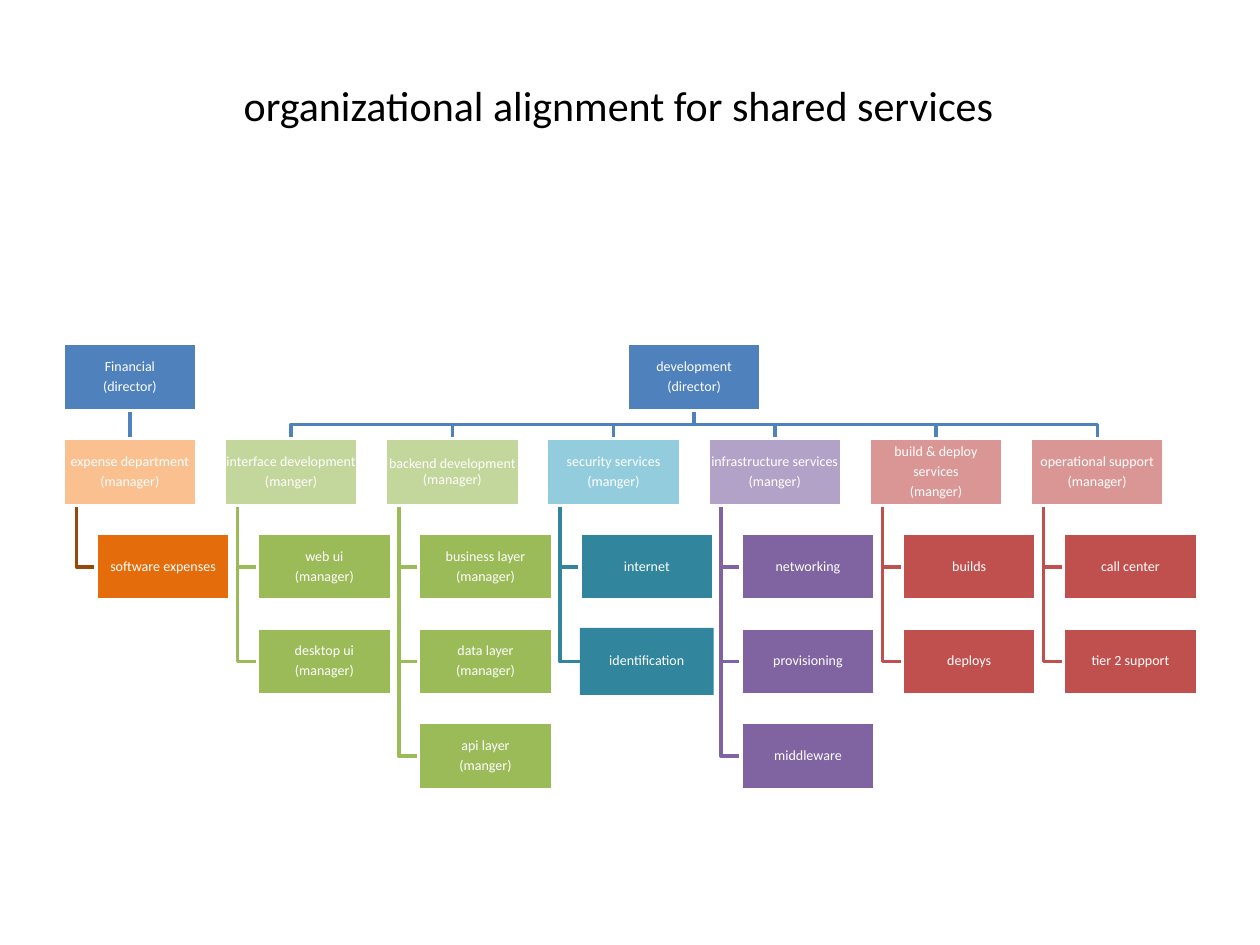
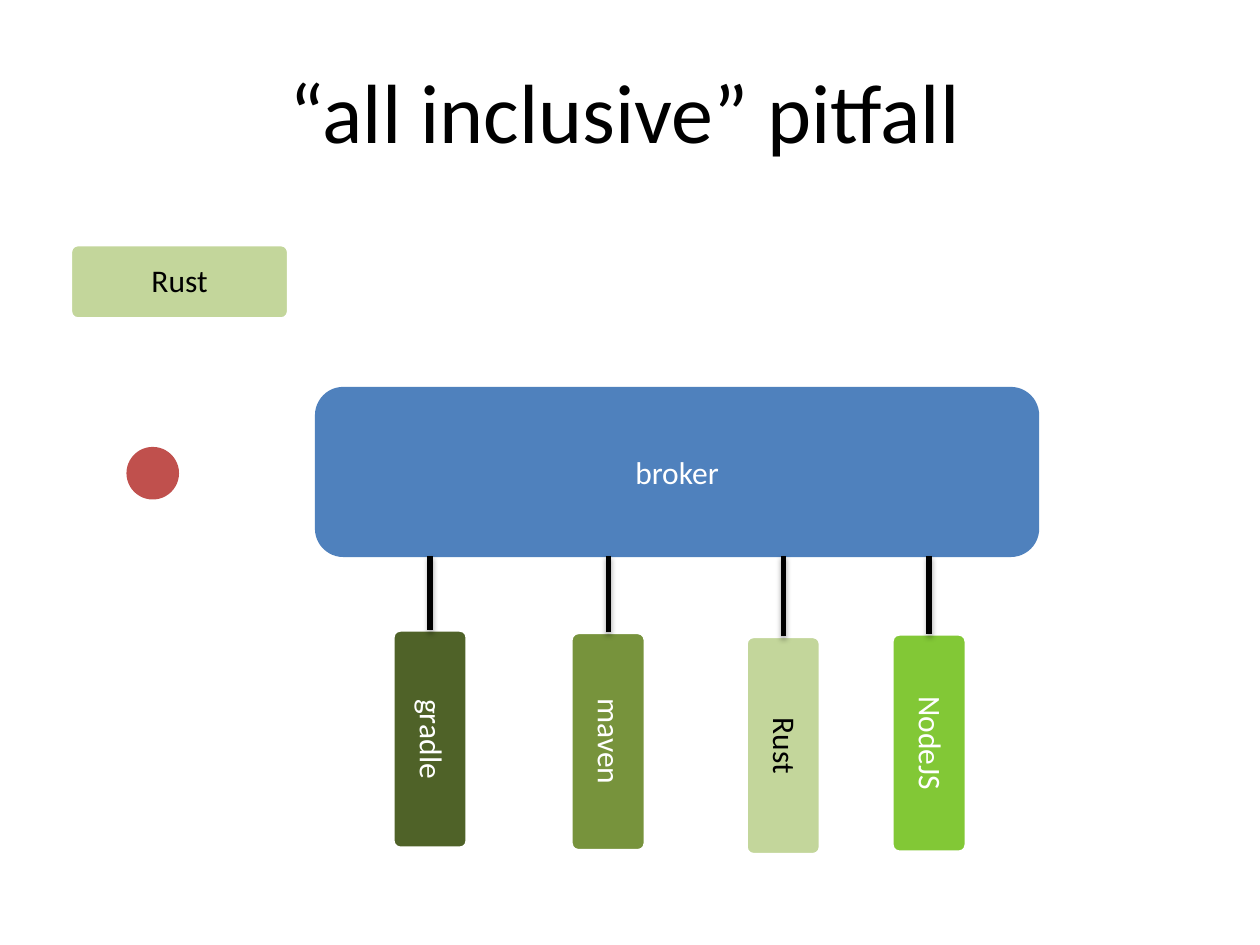
from lxml import etree
from pptx import Presentation, util as u
from pptx.dml.color import RGBColor
from pptx.enum import shapes, text
from pptx.oxml.ns import qn

Cm, Pt = u.Cm, u.Pt
FONT = "Calibri"
COLOURS = {
    "white": "FFFFFF", "black": "000000", "blue": "4F81BD",
    "peach": "FAC090", "orange": "E46C0A", "brown": "984807",
    "pale green": "C3D69B", "green": "9BBB59", "olive": "77933C",
    "dark green": "4F6228", "lime": "82C836",
    "pale teal": "93CDDD", "teal": "31859C",
    "pale purple": "B3A2C7", "purple": "8064A2",
    "pale red": "D99694", "red": "C0504D",
}

# text, left, top, width, height in cm, size
ORG_TITLE = ("organizational alignment for shared services", 1.07, 1.47, 22.8, 1.27, 24)
PITFALL_TITLE = ("“all inclusive” pitfall", 1.27, 1.07, 22.65, 2.31, 48)

# department, its fill, team fill, branch colour, teams
DEPARTMENTS = [
    ("expense department\n(manager)", "peach", "orange", "brown", ["software expenses"]),
    ("interface development\n(manger)", "pale green", "green", "green",
     ["web ui\n(manager)", "desktop ui\n(manager)"]),
    ("backend development (manager)", "pale green", "green", "green",
     ["business layer\n(manager)", "data layer\n(manager)", "api layer\n(manger)"]),
    ("security services\n(manger)", "pale teal", "teal", "teal",
     ["internet", "identification"]),
    ("infrastructure services\n(manger)", "pale purple", "purple", "purple",
     ["networking", "provisioning", "middleware"]),
    ("build & deploy\nservices\n(manger)", "pale red", "red", "red", ["builds", "deploys"]),
    ("operational support\n(manager)", "pale red", "red", "red",
     ["call center", "tier 2 support"]),
]
# director, first and last department column
DIRECTORS = [("Financial\n(director)", 0, 0), ("development\n(director)", 1, 6)]
BORDERLESS = {"identification"}

# org chart grid, cm
LEFT, TOP, COL_STEP, ROW_STEP = 1.27, 6.93, 3.25, 1.91
BOX_W, BOX_H, TEAM_INDENT, TRUNK_INDENT = 2.7, 1.35, 0.67, 0.27

# name, left, top in cm, fill, text colour
TOOLS = [
    ("gradle", 7.92, 12.7, "dark green", "white"),
    ("maven", 11.51, 12.75, "olive", "white"),
    ("Rust", 15.04, 12.83, "pale green", "black"),
    ("NodeJS", 17.98, 12.78, "lime", "white"),
]
TOOL_W, TOOL_H, PLUG_TOP = 1.5, 4.4, 11.2


def rgb(name):
    return RGBColor.from_string(COLOURS[name])


def write(sp, words, size, colour="black", inset=None, spaced=False):
    tf = sp.text_frame
    tf.text = words
    tf.word_wrap = True
    if inset is not None:
        tf.margin_left = tf.margin_right = tf.margin_top = tf.margin_bottom = Cm(inset)
    for p in tf.paragraphs:
        p.alignment = text.PP_ALIGN.CENTER
        if spaced:
            p.line_spacing = 0.9
            p.space_after = Pt(size * 0.35)
        for r in p.runs:
            r.font.name, r.font.size = FONT, Pt(size)
            r.font.color.rgb = rgb(colour)


def add_title(s, words, x, y, w, h, size):
    sp = s.shapes.add_textbox(Cm(x), Cm(y), Cm(w), Cm(h))
    write(sp, words, size)
    sp.text_frame.auto_size = text.MSO_AUTO_SIZE.SHAPE_TO_FIT_TEXT


def add_block(s, kind, x, y, w, h, fill, border=True):
    sp = s.shapes.add_shape(kind, Cm(x), Cm(y), Cm(w), Cm(h))
    sp.shadow.inherit = False
    sp.fill.solid()
    sp.fill.fore_color.rgb = rgb(fill)
    if border:
        sp.line.color.rgb = rgb("white")
        sp.line.width = Pt(2)
    else:
        sp.line.fill.background()
    sp.text_frame.vertical_anchor = text.MSO_ANCHOR.MIDDLE
    return sp


def add_line(s, x, y1, y2, colour, width):
    """Vertical connector; returns it with its empty effect list."""
    line = s.shapes.add_connector(shapes.MSO_CONNECTOR.STRAIGHT, Cm(x), Cm(y1), Cm(x), Cm(y2))
    line.line.color.rgb = rgb(colour)
    line.line.width = Pt(width)
    return line, etree.SubElement(line._element.spPr, qn("a:effectLst"))


def add_branch(s, points, colour):
    """Open bent line through points given in cm."""
    points = [(Cm(x), Cm(y)) for x, y in points]
    builder = s.shapes.build_freeform(*points[0])
    builder.add_line_segments(points[1:], close=False)
    sp = builder.convert_to_shape()
    sp.shadow.inherit = False
    sp.fill.background()
    sp.line.color.rgb = rgb(colour)
    sp.line.width = Pt(2)


def add_box(s, words, x, y, fill):
    sp = add_block(s, shapes.MSO_SHAPE.RECTANGLE, x, y, BOX_W, BOX_H, fill,
                   words not in BORDERLESS)
    write(sp, words, 8, "white", 0.02, spaced=True)
    return sp


def column_x(column):
    return LEFT + column * COL_STEP


def row_y(row):
    return TOP + row * ROW_STEP


def org_slide(s):
    director_bottom, department_top = row_y(0) + BOX_H, row_y(1)
    middle = (director_bottom + department_top) / 2
    straight = {}
    for _, first, last in DIRECTORS:
        x = column_x((first + last) / 2) + BOX_W / 2
        if first == last:
            straight[first], _ = add_line(s, x, director_bottom, department_top, "blue", 2)
            continue
        for column in range(first, last + 1):
            end = column_x(column) + BOX_W / 2
            add_branch(s, [(x, director_bottom), (x, middle), (end, middle),
                           (end, department_top)], "blue")
    for column, (_, _, _, colour, teams) in enumerate(DEPARTMENTS):
        trunk = column_x(column) + TRUNK_INDENT
        for row in range(2, 2 + len(teams)):
            y = row_y(row) + BOX_H / 2
            add_branch(s, [(trunk, department_top + BOX_H), (trunk, y),
                           (column_x(column) + TEAM_INDENT, y)], colour)

    for words, first, last in DIRECTORS:
        director = add_box(s, words, column_x((first + last) / 2), row_y(0), "blue")
        if first in straight:
            straight[first].begin_connect(director, 2)
    for column, (words, fill, team_fill, _, teams) in enumerate(DEPARTMENTS):
        department = add_box(s, words, column_x(column), department_top, fill)
        if column in straight:
            straight[column].end_connect(department, 0)
        for row, team in enumerate(teams, 2):
            add_box(s, team, column_x(column) + TEAM_INDENT, row_y(row), team_fill)
    add_title(s, *ORG_TITLE)


def add_tool(s, name, x, y, fill, colour):
    sp = add_block(s, shapes.MSO_SHAPE.ROUNDED_RECTANGLE, x, y, TOOL_W, TOOL_H, fill)
    sp.adjustments[0] = 0.1
    write(sp, name, 18, colour, 0.18, spaced=True)
    sp.text_frame._txBody.bodyPr.set("vert", "vert")
    return sp


def add_plug(s, tool, x, y):
    line, effects = add_line(s, x + TOOL_W / 2, y, PLUG_TOP, "black", 3)
    line.begin_connect(tool, 0)
    shadow = etree.SubElement(effects, qn("a:outerShdw"), blurRad=str(Pt(3.1)),
                              dist=str(Pt(1.8)), dir="5400000", rotWithShape="0")
    shade = etree.SubElement(shadow, qn("a:srgbClr"), val=COLOURS["black"])
    etree.SubElement(shade, qn("a:alpha"), val="35000")


def pitfall_slide(s):
    add_title(s, *PITFALL_TITLE)
    loose_tool = add_tool(s, "Rust", 2.87, 3.48, "pale green", "black")
    loose_tool.rotation = 270
    broker = add_block(s, shapes.MSO_SHAPE.ROUNDED_RECTANGLE, 6.35, 7.8, 14.6, 3.43,
                       "blue", border=False)
    write(broker, "broker", 18, "white")
    for name, x, y, fill, colour in TOOLS:
        add_plug(s, add_tool(s, name, x, y, fill, colour), x, y)
    add_block(s, shapes.MSO_SHAPE.OVAL, 2.55, 9.01, 1.06, 1.06, "red", border=False)


def main():
    prs = Presentation()
    prs.slide_width, prs.slide_height = Cm(25.4), Cm(19.05)
    for build in (org_slide, pitfall_slide):
        build(prs.slides.add_slide(prs.slide_layouts[6]))
    prs.save("out.pptx")


if __name__ == "__main__":
    main()
